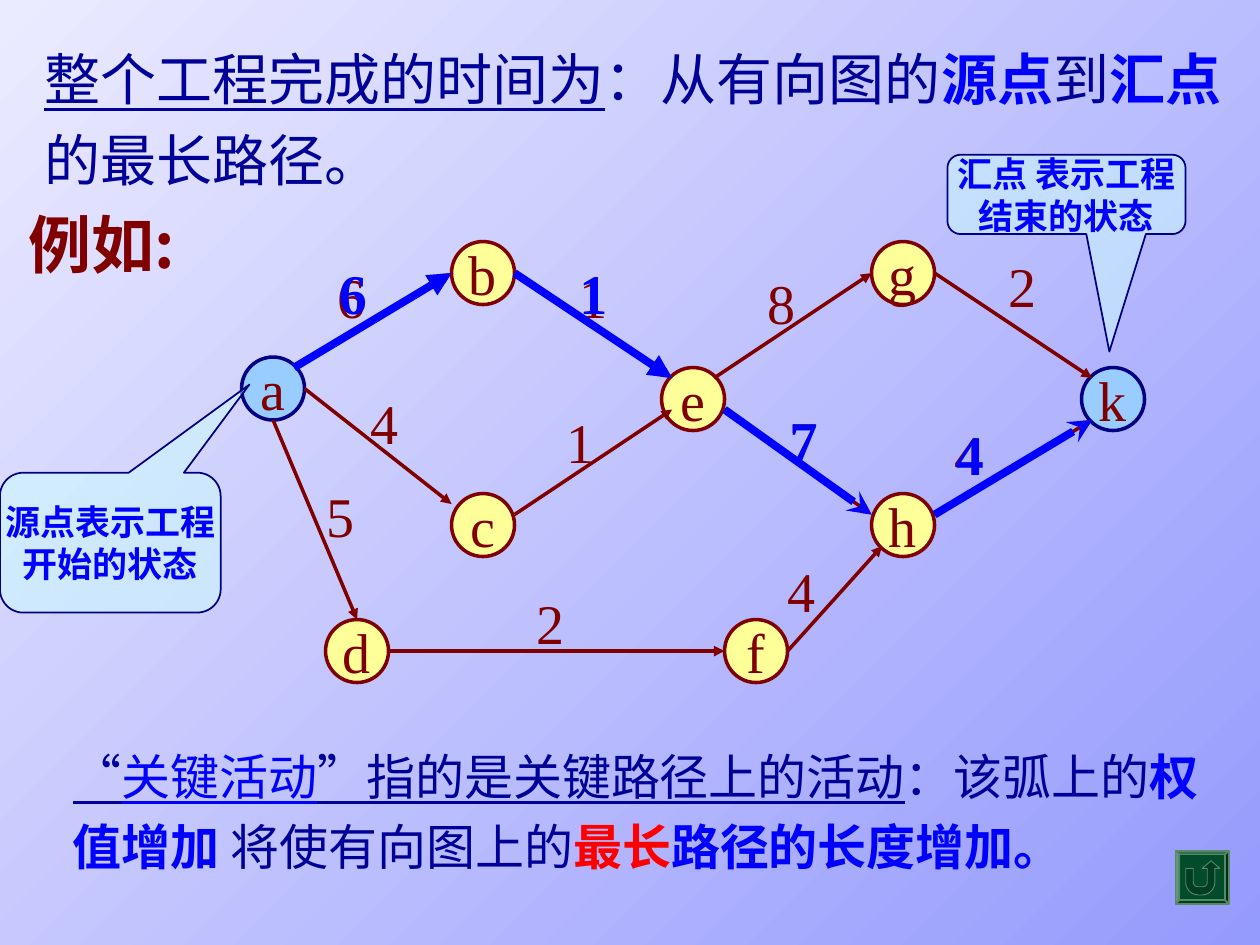
import math

from lxml import etree
from pptx import Presentation
from pptx import util as u
from pptx.dml.color import RGBColor
from pptx.enum import shapes, text
from pptx.oxml.ns import qn

LATIN, CJK = "Times New Roman", "Noto Sans CJK SC"
NAVY, BLUE, MAROON, RED = "000099", "0000FF", "800000", "FF0000"
GRID = 2.54 / 12  # graph grid step in cm

# Nodes: left and top in grid steps
NODES = {"a": (0, 11), "b": (20, 0), "c": (20, 24), "d": (8, 36), "e": (40, 12),
         "f": (46, 36), "g": (60, 0), "h": (60, 24), "k": (80, 12)}
# Activities: start and end in grid steps
CRITICAL = [((5, 12), (20, 3), "triangle"), ((26, 3), (41, 13), "triangle"),
            ((46, 16), (60, 26), "stealth"), ((66, 26), (81, 17), "stealth")]
OTHERS = [((6, 14), (20, 25)), ((26, 26), (41, 16)), ((45, 13), (60, 3)),
          ((66, 3), (81, 13)), ((3, 17), (11, 36)), ((14, 39), (46, 39)),
          ((52, 39), (61, 29))]
# Durations: text, left and top in cm
WEIGHTS = [("6", 1.69, 0.29), ("4", 2.34, 2.83), ("5", 1.46, 4.71), ("2", 5.7, 6.87),
           ("1", 6.56, 0.29), ("1", 6.31, 3.23), ("8", 10.35, 0.41), ("7", 10.8, 3.18),
           ("2", 15.22, 0.08), ("4", 14.13, 3.46), ("4", 10.75, 6.23)]
CRITICAL_WEIGHTS = [("6", 1.71, 0.21), ("1", 6.56, 0.21),
                    ("7", 10.8, 3.18), ("4", 14.15, 3.46)]


def rgb(color):
    return RGBColor.from_string(color)


def style_run(r, size, color, bold=False, underline=False, font=LATIN):
    f = r.font
    f.size, f.bold, f.name = u.Pt(size), bold, font
    f.color.rgb = rgb(color)
    if underline:
        f.underline = True
    etree.SubElement(r._r.get_or_add_rPr(), qn("a:ea"), typeface=CJK)


def style_shape(sp, fill, line, width):
    sp.shadow.inherit = False
    sp.fill.solid()
    sp.fill.fore_color.rgb = rgb(fill)
    sp.line.color.rgb = rgb(line)
    sp.line.width = u.Pt(width)


def add_label(s, box, content, size, color, bold=False, font=LATIN):
    """One unwrapped piece of text."""
    tf = s.shapes.add_textbox(*map(u.Cm, box)).text_frame
    tf.word_wrap = False
    tf.text = content
    style_run(tf.paragraphs[0].runs[0], size, color, bold, font=font)


def add_statement(s, box, size, parts):
    """A paragraph of (text, color, bold, underline) parts."""
    tf = s.shapes.add_textbox(*map(u.Cm, box)).text_frame
    tf.word_wrap = True
    p = tf.paragraphs[0]
    p.line_spacing = 1.2
    for content, color, bold, underline in parts:
        r = p.add_run()
        r.text = content
        style_run(r, size, color, bold, underline)


def centre_text(sp, content, size, color, bold=False):
    tf = sp.text_frame
    tf.word_wrap = False
    tf.vertical_anchor = text.MSO_ANCHOR.MIDDLE
    tf.text = content
    for p in tf.paragraphs:
        p.alignment = text.PP_ALIGN.CENTER
        style_run(p.runs[0], size, color, bold)


def add_arrow(s, x, y, start, end, color, width, head="triangle"):
    ends = [u.Cm(o + v * GRID) for pt in (start, end) for o, v in zip((x, y), pt)]
    c = s.shapes.add_connector(shapes.MSO_CONNECTOR.STRAIGHT, *ends)
    c.line.color.rgb = rgb(color)
    c.line.width = u.Pt(width)
    etree.SubElement(c.line._get_or_add_ln(), qn("a:tailEnd"), type=head)
    etree.SubElement(c._element.spPr, qn("a:effectLst"))


def add_graph(s, x, y):
    """Activity network with its critical path on top."""
    for name, (col, row) in NODES.items():
        sp = s.shapes.add_shape(shapes.MSO_SHAPE.OVAL, u.Cm(x + col * GRID),
                                u.Cm(y + row * GRID), u.Cm(1.27), u.Cm(1.27))
        fill, line = ("99CCFF", "000080") if name in "ak" else ("FFFF99", MAROON)
        style_shape(sp, fill, line, 2)
        centre_text(sp, name, 32, MAROON)
    for start, end in [c[:2] for c in CRITICAL] + OTHERS:
        add_arrow(s, x, y, start, end, MAROON, 2)
    for content, dx, dy in WEIGHTS:
        add_label(s, (x + dx, y + dy, 1.07, 1.63), content, 32, MAROON)
    for start, end, head in CRITICAL:
        add_arrow(s, x, y, start, end, BLUE, 4.5, head)
    for content, dx, dy in CRITICAL_WEIGHTS:
        add_label(s, (x + dx, y + dy, 1.07, 1.63), content, 32, BLUE, True)


def add_callout(s, box, content, tip):
    sp = s.shapes.add_shape(shapes.MSO_SHAPE.ROUNDED_RECTANGULAR_CALLOUT,
                            *map(u.Cm, box))
    style_shape(sp, "CCFFFF", "000080", 1)
    sp.adjustments[0], sp.adjustments[1] = tip
    color = sp.fill._xPr.find(qn("a:solidFill"))[0]
    etree.SubElement(color, qn("a:alpha"), val="50000")
    centre_text(sp, content, 20, BLUE, True)


def add_return_button(s, x, y, size):
    """Bevelled button with a U-turn arrow, laid out in 42 steps."""
    sp = s.shapes.add_shape(shapes.MSO_SHAPE.BEVEL, *map(u.Cm, (x, y, size, size)))
    style_shape(sp, "004C2B", "578963", 1)
    sp.adjustments[0] = 0.07

    def arc(cx, cy, radius, first, last):
        angles = [math.radians(first + (last - first) * i / 6) for i in range(7)]
        return [(cx + radius * math.cos(a), cy + radius * math.sin(a)) for a in angles]

    outline = [(8, 14), (14, 14), *arc(17.5, 25, 3.5, 180, 90), *arc(21.5, 25, 3.5, 90, 0),
               (25, 14), (21, 14), (28, 8), (35, 14), (31, 14),
               *arc(21, 25, 10, 0, 90), *arc(18, 25, 10, 90, 180)]
    points = [(u.Cm(x + px * size / 42), u.Cm(y + py * size / 42)) for px, py in outline]
    fb = s.shapes.build_freeform(*points[0])
    fb.add_line_segments(points[1:], close=True)
    style_shape(fb.convert_to_shape(), "003D22", "578963", 0.5)


def add_background(s):
    fill = s.background.fill
    fill.gradient()
    fill.gradient_angle = 315
    for stop, color in zip(fill.gradient_stops, ("EBEBFF", "959AFD")):
        stop.color.rgb = rgb(color)


def main():
    prs = Presentation()
    prs.slide_width, prs.slide_height = u.Cm(25.4), u.Cm(19.05)
    s = prs.slides.add_slide(prs.slide_layouts[6])
    add_background(s)

    # Definition of the project duration
    add_statement(s, (0.64, 0.51, 24.38, 3.51), 32, [
        ("整个工程完成的时间为", NAVY, False, True),
        ("：从有向图的", NAVY, False, False),
        ("源点", BLUE, True, False),
        ("到", NAVY, False, False),
        ("汇点", BLUE, True, False),
        ("的最长路径。", NAVY, False, False)])

    # Example network
    add_graph(s, 4.87, 4.87)
    add_label(s, (0.33, 4.01, 4.11, 1.78), "例如:", 36, MAROON, True, CJK)

    # Definition of a critical activity
    add_statement(s, (1.22, 14.68, 23.32, 3.1), 28, [
        ("“", NAVY, False, True),
        ("关键活动", BLUE, False, True),
        ("”指的是关键路径上的活动", NAVY, False, True),
        ("：该弧上的", NAVY, False, False),
        ("权值增加 ", BLUE, True, False),
        ("将使有向图上的", NAVY, False, False),
        ("最长", RED, True, False),
        ("路径的长度增加。", BLUE, True, False)])

    # Notes on the source and the sink
    add_callout(s, (0, 9.53, 4.45, 2.82), "源点表示工程\n开始的状态", (0.63, -1.13))
    add_callout(s, (19.1, 3.12, 4.8, 1.6), "汇点 表示工程\n结束的状态", (0.18, 1.98))

    add_return_button(s, 23.7, 17.15, 1.07)
    prs.save("out.pptx")


if __name__ == "__main__":
    main()
